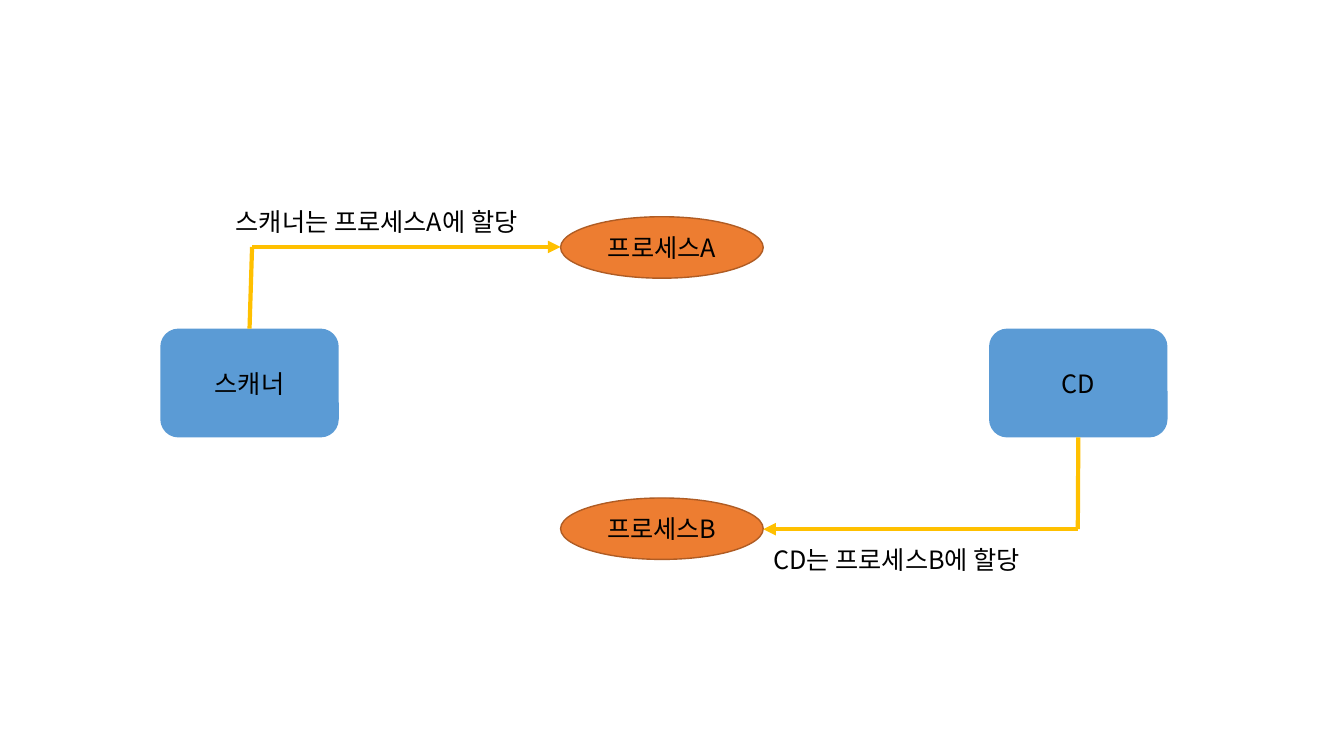
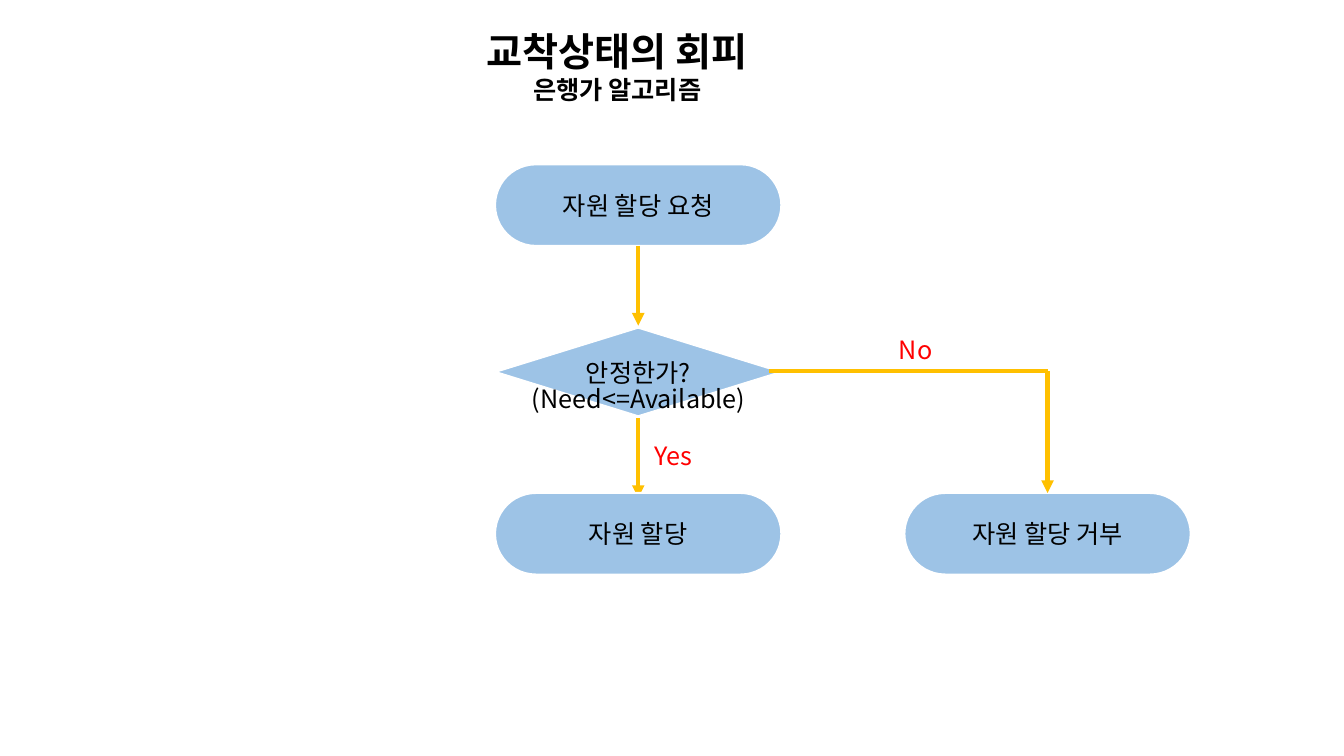
import pptx
import pptx.dml.color
import pptx.enum.shapes
import pptx.enum.text
import pptx.oxml
import pptx.oxml.ns
import pptx.util

FONT = "Noto Sans CJK KR"
BLACK, WHITE, RED, YELLOW = "000000", "FFFFFF", "FF0000", "FFC000"
DEVICE_BLUE, STEP_BLUE = "5B9BD5", "9DC3E6"
ORANGE, DARK_ORANGE = "ED7D31", "AF5C24"
TEXT_SIZE = 18
LABEL_HEIGHT = 40
TOP, BOTTOM = 0, 2

SHAPE = pptx.enum.shapes.MSO_SHAPE
ALIGN = pptx.enum.text.PP_ALIGN


def px(length):
    """100 px to the inch."""
    return pptx.util.Emu(round(length * 9144))


def color(value):
    return pptx.dml.color.RGBColor.from_string(value)


def add_xml(parent, tag, attributes=""):
    namespace = pptx.oxml.ns.nsdecls("a")
    parent.append(pptx.oxml.parse_xml(f"<a:{tag} {namespace} {attributes}/>"))


def style_paragraph(para, text, align, size=TEXT_SIZE, fill=BLACK, bold=False):
    para.text = text
    para.alignment = align
    font = para.font
    font.name = FONT
    font.size = pptx.util.Pt(size)
    font.bold = bold
    font.color.rgb = color(fill)
    properties = para._p.get_or_add_pPr().find(pptx.oxml.ns.qn("a:defRPr"))
    add_xml(properties, "ea", f'typeface="{FONT}"')


def add_node(page, kind, box, text, fill, line=None, line_width=1):
    node = page.shapes.add_shape(kind, *map(px, box))
    node.shadow.inherit = False
    node.fill.solid()
    node.fill.fore_color.rgb = color(fill)
    if line:
        node.line.color.rgb = color(line)
        node.line.width = pptx.util.Pt(line_width)
    else:
        node.line.fill.background()
    style_paragraph(node.text_frame.paragraphs[0], text, ALIGN.CENTER)
    return node


def add_label(page, box, text, align=ALIGN.CENTER, fill=BLACK, wrap=True):
    label = page.shapes.add_textbox(*map(px, box))
    frame = label.text_frame
    frame.word_wrap = wrap
    frame.auto_size = pptx.enum.text.MSO_AUTO_SIZE.SHAPE_TO_FIT_TEXT
    style_paragraph(frame.paragraphs[0], text, align, fill=fill)
    return label


def add_line(page, start, end, arrow=False, begin_at=None, end_at=None):
    """begin_at and end_at are (shape, side) pairs to join."""
    line = page.shapes.add_connector(
        pptx.enum.shapes.MSO_CONNECTOR.STRAIGHT, *map(px, start + end))
    line.line.color.rgb = color(YELLOW)
    line.line.width = pptx.util.Pt(3)
    if arrow:
        add_xml(line.line._get_or_add_ln(), "tailEnd", 'type="triangle"')
    add_xml(line._element.spPr, "effectLst")
    if begin_at:
        line.begin_connect(*begin_at)
    if end_at:
        line.end_connect(*end_at)


def add_title(page, box, title, subtitle):
    frame = add_label(page, box, title, ALIGN.LEFT, wrap=False).text_frame
    style_paragraph(frame.paragraphs[0], title, ALIGN.LEFT, 28, bold=True)
    style_paragraph(frame.add_paragraph(), subtitle, ALIGN.CENTER, bold=True)


def add_device(page, left, text):
    return add_node(page, SHAPE.ROUNDED_RECTANGLE, (left, 326, 177, 108),
                    text, DEVICE_BLUE)


def add_process(page, top, text):
    add_node(page, SHAPE.OVAL, (556, top, 201, 61), text, ORANGE, DARK_ORANGE)


def add_assignment(page, device, side, corner, process_x):
    """Line from a device to a corner, then an arrow to its process."""
    device_x = device.left + device.width // 2
    device_y = device.top + (device.height if side == BOTTOM else 0)
    add_line(page, corner, (device_x / px(1), device_y / px(1)),
             end_at=(device, side))
    add_line(page, corner, (process_x, corner[1]), arrow=True)


def build_allocation_slide(page):
    add_label(page, (224, 200, 332, LABEL_HEIGHT), "스캐너는 프로세스A에 할당",
              ALIGN.LEFT, wrap=False)
    scanner = add_device(page, 159, "스캐너")
    disc = add_device(page, 981, "CD")
    add_process(page, 215, "프로세스A")
    add_process(page, 494, "프로세스B")
    add_assignment(page, scanner, TOP, (250, 245), 556)
    add_assignment(page, disc, BOTTOM, (1069, 525), 757)
    add_label(page, (757, 535, 289, LABEL_HEIGHT), "CD는 프로세스B에 할당",
              ALIGN.LEFT, wrap=False)


def add_step(page, left, top, text):
    step = add_node(page, SHAPE.ROUNDED_RECTANGLE, (left, top, 284, 81),
                    text, STEP_BLUE, WHITE, 1.5)
    step.adjustments[0] = 0.5
    return step


def build_banker_slide(page):
    left, refusal_left, result_top = 491, 897, 489
    middle, refusal_middle = left + 142, refusal_left + 142
    decision_y = 368

    add_title(page, (473, 22, 309, 88), "교착상태의 회피", "은행가 알고리즘")
    request = add_step(page, left, 163, "자원 할당 요청")
    add_line(page, (middle, 244), (middle, 323), arrow=True,
             begin_at=(request, BOTTOM))
    add_node(page, SHAPE.DIAMOND, (left, 325, 284, 88), "안정한가?",
             STEP_BLUE, WHITE, 1.5)
    add_label(page, (300, 375, 667, LABEL_HEIGHT), "(Need<=Available)")
    add_line(page, (middle, 415), (middle, 494), arrow=True)
    add_step(page, left, result_top, "자원 할당")
    refusal = add_step(page, refusal_left, result_top, "자원 할당 거부")
    add_line(page, (refusal_middle, decision_y), (refusal_middle, result_top),
             arrow=True, end_at=(refusal, TOP))
    add_line(page, (refusal_middle, decision_y), (763, decision_y))
    for x, y, answer in ((627, 432, "Yes"), (867, 327, "No")):
        add_label(page, (x, y, 82, LABEL_HEIGHT), answer, fill=RED)


def main():
    deck = pptx.Presentation()
    deck.slide_width, deck.slide_height = px(1333), px(750)
    for build in (build_allocation_slide, build_banker_slide):
        build(deck.slides.add_slide(deck.slide_layouts[6]))
    deck.save("out.pptx")


if __name__ == "__main__":
    main()
